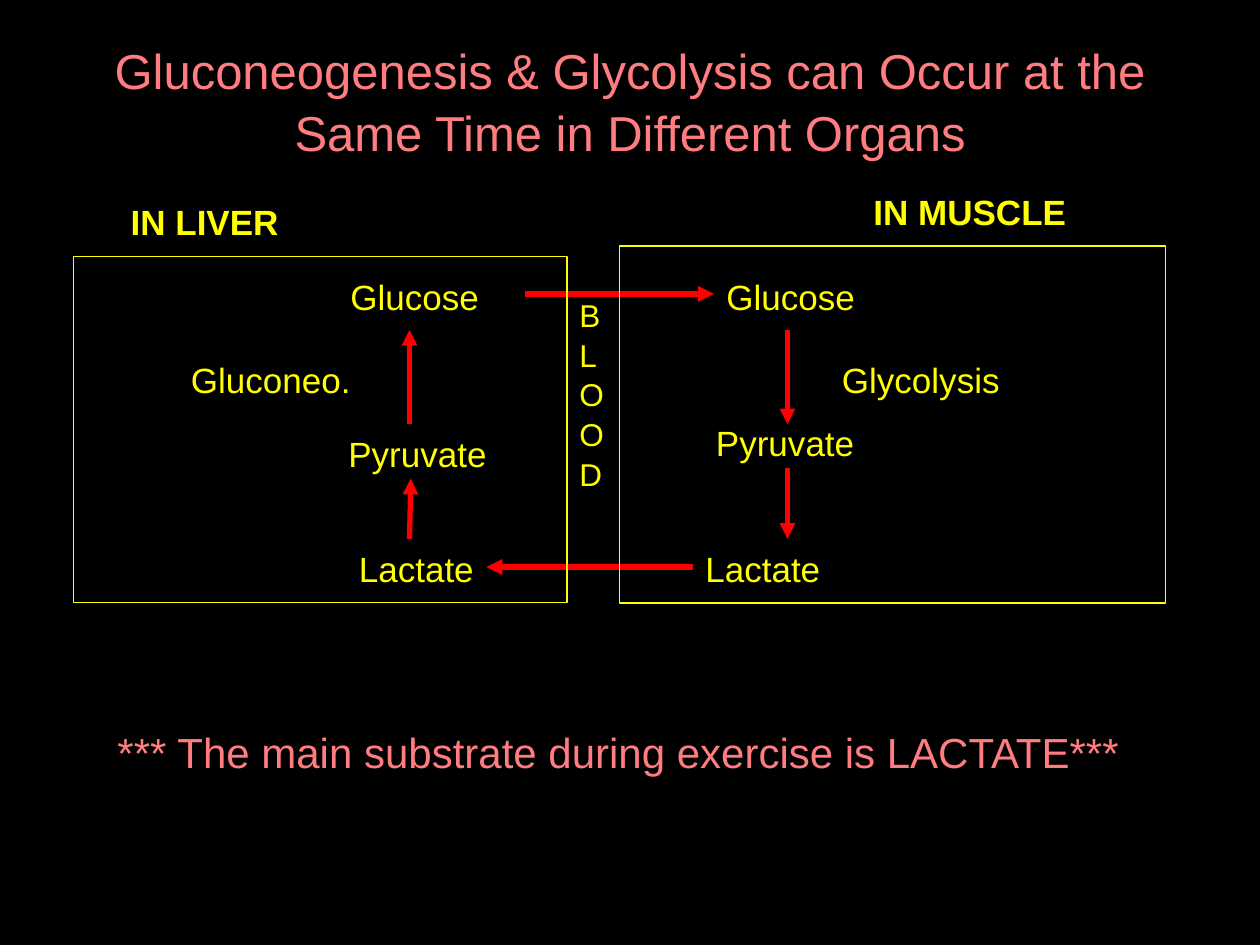
from dataclasses import dataclass

from lxml.etree import SubElement
from pptx import Presentation
from pptx.dml.color import RGBColor
from pptx.enum.shapes import MSO_CONNECTOR as Link, MSO_SHAPE as Kind
from pptx.enum.text import MSO_ANCHOR as Anchor, PP_ALIGN as Align
from pptx.oxml.ns import qn
from pptx.util import Pt

YELLOW, PINK, RED, BLACK = "FFFF00", "FF7C80", "FF0000", "000000"


@dataclass
class Label:
    text: str
    x: float
    y: float
    w: float
    h: float = 31
    size: float = 20
    color: str = YELLOW
    bold: bool = False
    align: Align = Align.LEFT
    wrap: bool = True


@dataclass
class Arrow:
    x1: float
    y1: float
    x2: float
    y2: float


@dataclass
class Frame:
    x: float
    y: float
    w: float
    h: float


def rgb(code: str) -> RGBColor:
    return RGBColor.from_string(code)


def place(shape, x: float, y: float, w: float, h: float) -> None:
    shape.left, shape.top, shape.width, shape.height = map(Pt, (x, y, w, h))


def style(frame, size: float, color: str, align: Align, bold: bool = False) -> None:
    for para in frame.paragraphs:
        para.alignment = align
        para.line_spacing = 1.05
        for run in para.runs:
            font = run.font
            font.name, font.size, font.bold = "Arial", Pt(size), bold
            font.color.rgb = rgb(color)


def draw_label(slide, item: Label) -> None:
    box = slide.shapes.add_textbox(*map(Pt, (item.x, item.y, item.w, item.h)))
    frame = box.text_frame
    frame.word_wrap = item.wrap
    frame.text = item.text
    style(frame, item.size, item.color, item.align, item.bold)


def draw_arrow(slide, item: Arrow) -> None:
    ends = map(Pt, (item.x1, item.y1, item.x2, item.y2))
    link = slide.shapes.add_connector(Link.STRAIGHT, *ends)
    link.line.color.rgb = rgb(RED)
    link.line.width = Pt(3)
    SubElement(link.line._get_or_add_ln(), qn("a:tailEnd"), type="triangle")
    SubElement(link._element.spPr, qn("a:effectLst"))


def draw_frame(slide, item: Frame) -> None:
    size = map(Pt, (item.x, item.y, item.w, item.h))
    box = slide.shapes.add_shape(Kind.RECTANGLE, *size)
    box.shadow.inherit = False
    box.fill.background()
    box.line.color.rgb = rgb(YELLOW)
    box.line.width = Pt(0.75)


# Columns and rows shared by the two pathways
LIVER, MUSCLE = 234, 450
TOP, MID, LOW = 152.5, 200, 308

LABELS = [
    # Liver
    Label("IN LIVER", 48, 110, 138, bold=True, align=Align.CENTER),
    Label("Glucose", 174, TOP, 126, align=Align.CENTER),
    Label("Gluconeo.", 102, MID, 144),
    Label("Pyruvate", 192, 242.5, 94, wrap=False),
    Label("Lactate", 198, LOW, 80, wrap=False),
    # Muscle
    Label("IN MUSCLE", 492, 104, 124.5, bold=True, wrap=False),
    Label("Glucose", 408, TOP, 88, wrap=False),
    Label("Glycolysis", 474, MID, 156),
    Label("Pyruvate", 402, 236, 96),
    Label("Lactate", 396, LOW, 108),
    # Between the organs, one letter a line
    Label("\v".join("BLOOD"), 324, 164.5, 42, 115, size=18),
    # Conclusion
    Label("*** The main substrate during exercise is LACTATE***",
          60, 410, 624, 36, size=24, color=PINK),
]

ARROWS = [
    # Through the blood
    Arrow(300, 168, 408, 168),
    Arrow(396, 324, 278, 324),
    # Up in the liver
    Arrow(LIVER, LOW, LIVER + 0.75, 273.5),
    Arrow(LIVER, 242.5, LIVER, 188.5),
    # Down in the muscle
    Arrow(MUSCLE, 188.5, MUSCLE, 242.5),
    Arrow(MUSCLE, 267.5, MUSCLE, LOW),
]

FRAMES = [Frame(42, 146.5, 282, 198), Frame(354, 140.5, 312, 204)]


def main() -> None:
    deck = Presentation()
    deck.slide_width, deck.slide_height = Pt(720), Pt(540)
    slide = deck.slides.add_slide(deck.slide_layouts[5])
    fill = slide.background.fill
    fill.solid()
    fill.fore_color.rgb = rgb(BLACK)

    # Title
    title = slide.shapes.title
    place(title, 36, 12, 648, 90)
    frame = title.text_frame
    frame.text = "Gluconeogenesis & Glycolysis can Occur at the Same Time in Different Organs"
    frame.vertical_anchor = Anchor.MIDDLE
    style(frame, 28, PINK, Align.CENTER)

    # Diagram
    for item in LABELS:
        draw_label(slide, item)
    for item in ARROWS:
        draw_arrow(slide, item)
    for item in FRAMES:
        draw_frame(slide, item)

    deck.save("out.pptx")


if __name__ == "__main__":
    main()
